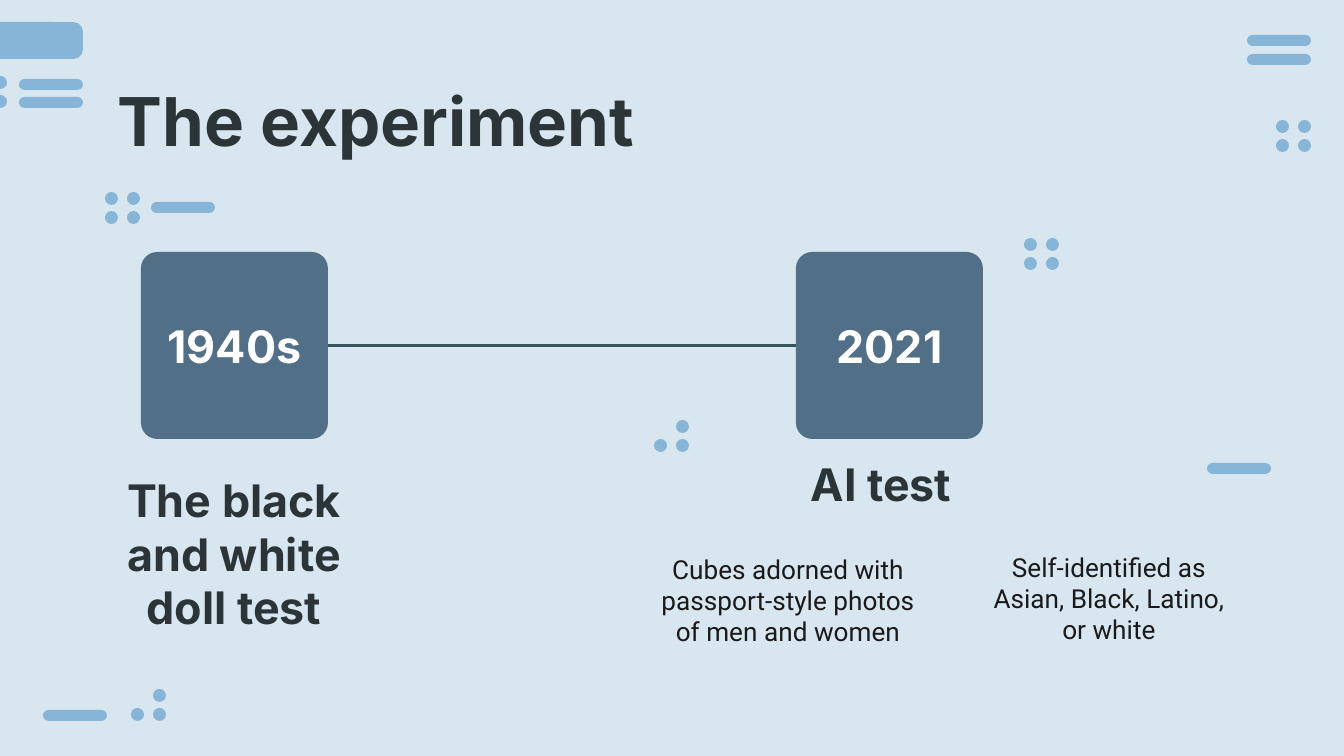
import pptx
import pptx.dml.color
import pptx.enum.shapes
import pptx.enum.text
import pptx.oxml
import pptx.util

RGBColor = pptx.dml.color.RGBColor
Shape = pptx.enum.shapes.MSO_SHAPE
Anchor = pptx.enum.text.MSO_ANCHOR
Align = pptx.enum.text.PP_ALIGN

PALE = RGBColor(0xD8, 0xE6, 0xEF)
SKY = RGBColor(0x86, 0xB5, 0xD8)
SLATE = RGBColor(0x51, 0x6F, 0x86)
TEAL = RGBColor(0x37, 0x55, 0x5A)
INK = RGBColor(0x2B, 0x34, 0x36)
BLACK = RGBColor(0x1A, 0x1A, 0x1A)
WHITE = RGBColor(0xFF, 0xFF, 0xFF)

SCALE = 914400 / 134.4  # EMU in one px
INSET = 13
DOT, DOT_STEP_X, DOT_STEP_Y = 13, 22, 19
BAR_WIDTH, BAR_HEIGHT = 64, 11
SQUARE = 187

ALL_DOTS = [(0, 0), (1, 0), (0, 1), (1, 1)]
THREE_DOTS = ALL_DOTS[1:]
RIGHT_DOTS = [(1, 0), (1, 1)]


def px(length):
    return pptx.util.Emu(round(length * SCALE))


def add_solid(page, kind, left, top, width, height, color, rounding=None):
    shape = page.shapes.add_shape(kind, px(left), px(top), px(width), px(height))
    shape.shadow.inherit = False
    shape.fill.solid()
    shape.fill.fore_color.rgb = color
    shape.line.fill.background()
    if rounding is not None:
        shape.adjustments[0] = rounding
    return shape


def add_bar(page, left, top):
    add_solid(page, Shape.ROUNDED_RECTANGLE, left, top, BAR_WIDTH, BAR_HEIGHT, SKY, 0.5)


def add_dots(page, left, top, cells):
    for column, row in cells:
        add_solid(page, Shape.OVAL, left + column * DOT_STEP_X,
                  top + row * DOT_STEP_Y, DOT, DOT, SKY)


def write(box, text, size, font, color, bold, align, anchor):
    frame = box.text_frame
    frame.word_wrap = True
    frame.auto_size = pptx.enum.text.MSO_AUTO_SIZE.NONE
    frame.vertical_anchor = anchor
    frame.margin_left = frame.margin_right = px(INSET)
    frame.margin_top = frame.margin_bottom = px(INSET)
    para = frame.paragraphs[0]
    para.text = text
    para.alignment = align
    para.font.size = pptx.util.Pt(size)
    para.font.name = font
    para.font.bold = bold
    para.font.color.rgb = color


def add_text(page, left, top, width, height, text, size, font, color, bold, anchor):
    box = page.shapes.add_textbox(px(left), px(top), px(width), px(height))
    write(box, text, size, font, color, bold, Align.CENTER, anchor)


def add_decoration(page):
    # Block bleeding off the left edge
    add_solid(page, Shape.ROUNDED_RECTANGLE, -30, 22, 113, 37, SKY, 0.26)
    for left, top in [(19, 79), (19, 97), (1247, 35), (1247, 54),
                      (43, 710), (151, 202), (1207, 463)]:
        add_bar(page, left, top)
    for left, top, cells in [(-28, 76, RIGHT_DOTS), (1276, 120, ALL_DOTS),
                             (131, 689, THREE_DOTS), (105, 192, ALL_DOTS),
                             (1024, 238, ALL_DOTS), (654, 420, THREE_DOTS)]:
        add_dots(page, left, top, cells)


def add_title(page, left, top, width, height):
    title = page.shapes.title
    title.left, title.top = px(left), px(top)
    title.width, title.height = px(width), px(height)
    write(title, "The experiment", 36, "Inter", INK, True, Align.LEFT, Anchor.TOP)


def add_timeline(page, left, top, width):
    # Squares at both ends, each with its date
    starts = [left, left + width - SQUARE]
    squares = []
    for start, date in zip(starts, ["1940s", "2021"]):
        squares.append(add_solid(page, Shape.ROUNDED_RECTANGLE, start, top,
                                 SQUARE, SQUARE, SLATE, 0.087))
        add_text(page, start + 3, top + 53, 181, 82, date, 24, "Inter",
                 WHITE, True, Anchor.MIDDLE)

    # Line joining the squares
    line = page.shapes.add_connector(pptx.enum.shapes.MSO_CONNECTOR.STRAIGHT, 0, 0, 0, 0)
    line.begin_connect(squares[0], 3)
    line.end_connect(squares[1], 1)
    line.line.color.rgb = TEAL
    line.line.width = pptx.util.Pt(1.5)
    properties = line._element.spPr
    properties.append(pptx.oxml.parse_xml(
        '<a:effectLst xmlns:a="http://schemas.openxmlformats.org/drawingml/2006/main"/>'))


def add_captions(page, left, top):
    # Headings of the two tests
    for shift, drop, height, text in [(0, 32, 173, "The black and white doll test"),
                                      (647, 0, 82, "AI test")]:
        add_text(page, left + shift, top + drop, 286, height, text, 24, "Inter",
                 INK, True, Anchor.BOTTOM)

    # Details of the later test
    for shift, drop, text in [
            (554, 98, "Cubes adorned with passport-style photos of men and women"),
            (875, 96, "Self-identified as Asian, Black, Latino, or white")]:
        add_text(page, left + shift, top + drop, 286, 122, text, 14, "Roboto",
                 BLACK, False, Anchor.TOP)


def main():
    deck = pptx.Presentation()
    deck.slide_width, deck.slide_height = px(1344), px(756)
    page = deck.slides.add_slide(deck.slide_layouts[5])
    page.background.fill.solid()
    page.background.fill.fore_color.rgb = PALE

    add_decoration(page)
    add_title(page, 105, 66, 1134, 109)
    add_timeline(page, 141, 252, 842)
    add_captions(page, 91, 442)
    deck.save("out.pptx")


if __name__ == "__main__":
    main()
